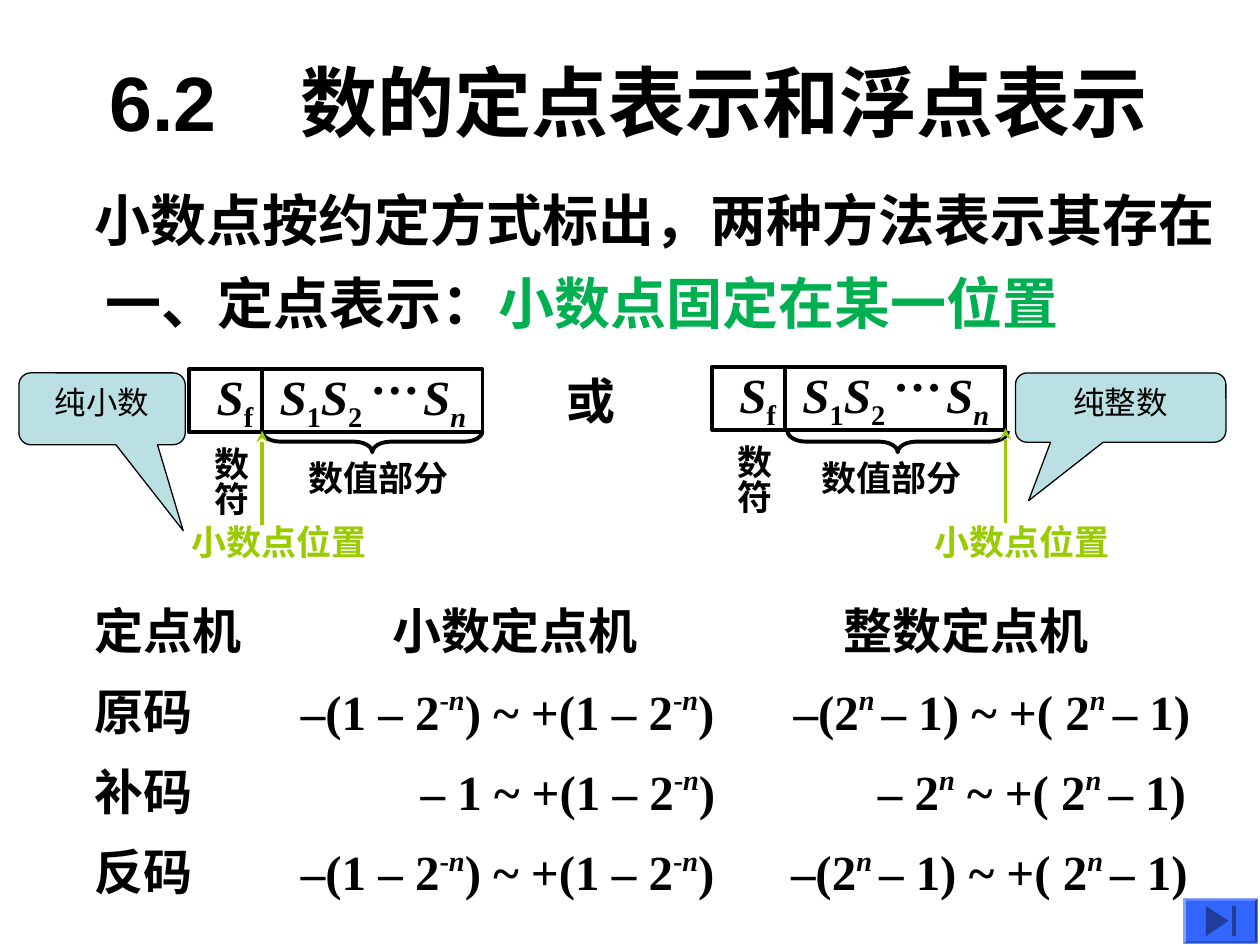
import pptx
import pptx.util
import pptx.dml.color
import pptx.enum.shapes
import pptx.enum.text
import pptx.oxml.ns
import lxml.etree

SHAPES = pptx.enum.shapes.MSO_SHAPE
ALIGN = pptx.enum.text.PP_ALIGN
ANCHOR = pptx.enum.text.MSO_ANCHOR
BLACK, GREEN, LIME, BLUE, NAVY, PALE = "000000", "00B050", "99CC00", "3366FF", "1F3D99", "BBE0E3"
SERIF = {"name": "Times New Roman", "bold": True}

presentation = pptx.Presentation()
presentation.slide_width = pptx.util.Inches(10)
presentation.slide_height = pptx.util.Inches(7.5)
slide = presentation.slides.add_slide(presentation.slide_layouts[6])
column = presentation.slide_width / 100
row = presentation.slide_height / 75


def color(value):
    return pptx.dml.color.RGBColor.from_string(value)


def write(shape, runs, size, font=SERIF, align=ALIGN.LEFT, anchor=ANCHOR.TOP, tabs=(), insets=(1, 0.5, 0, 0.5)):
    frame = shape.text_frame
    left, top, right, bottom = insets
    frame_format = {"word_wrap": True, "auto_size": pptx.enum.text.MSO_AUTO_SIZE.NONE, "vertical_anchor": anchor,
                    "margin_left": int(left * column), "margin_right": int(right * column),
                    "margin_top": int(top * row), "margin_bottom": int(bottom * row)}
    for key, value in frame_format.items():
        setattr(frame, key, value)
    paragraph = frame.paragraphs[0]
    paragraph.alignment = align
    if tabs:
        stops = lxml.etree.SubElement(paragraph._p.get_or_add_pPr(), pptx.oxml.ns.qn("a:tabLst"))
        for position in tabs:
            lxml.etree.SubElement(stops, pptx.oxml.ns.qn("a:tab"), pos=str(int(position * column)), algn="l")
    for text, style in runs:
        run = paragraph.add_run()
        run.text = text
        for key, value in {**font, "size": pptx.util.Pt(size), "italic": "italic" in style}.items():
            setattr(run.font, key, value)
        run.font.color.rgb = color(style.get("color", BLACK))
        if "baseline" in style:
            run._r.get_or_add_rPr().set("baseline", str(style["baseline"] * 1000))


PLAIN, ITALIC = {}, {"italic": True}
RAISED, POWER = {"baseline": 40}, {"baseline": 40, "italic": True}
LOWERED, INDEX = {"baseline": -25}, {"baseline": -25, "italic": True}
register = [("S", ITALIC), ("f", LOWERED), ("\t", PLAIN), ("S", ITALIC), ("1", LOWERED), ("S", ITALIC),
            ("2", LOWERED), ("\t", PLAIN), ("S", ITALIC), ("n", INDEX)]
fraction_end = [("-", RAISED), ("n", POWER), (")", PLAIN)]
fraction_range = [("–(1 – 2", PLAIN), *fraction_end[:2], (") ~ +(1 – 2", PLAIN), *fraction_end]
fraction_complement = [("– 1 ~ +(1 – 2", PLAIN), *fraction_end]
integer_end = [("n ", POWER), ("– 1)", PLAIN)]
integer_range = [("–(2", PLAIN), ("n ", POWER), ("– 1) ~ +( 2", PLAIN), *integer_end]
integer_complement = [("– 2", PLAIN), ("n", POWER), (" ~ +( 2", PLAIN), *integer_end]

title = slide.shapes.add_textbox(int(7.7 * column), int(1.7 * row), int(85 * column), int(12.5 * row))
write(title, [("6.2\t数的定点表示和浮点表示", PLAIN)], 44, {"name": "Arial", "bold": True},
      anchor=ANCHOR.MIDDLE, tabs=[15.2])

texts = [
    (6.5, 14.2, 91.8, 6.4, 32, [("小数点按约定方式标出，两种方法表示其存在", PLAIN)]),
    (7.4, 20.8, 77.6, 6.4, 32, [("一、定点表示：", PLAIN), ("小数点固定在某一位置", {"color": GREEN})]),
    (44, 28.9, 5.9, 5.7, 28, [("或", PLAIN)]),
]
table_rows = [
    ("定点机", 30.2, [("小数定点机", PLAIN)], 66, [("整数定点机", PLAIN)]),
    ("原码", 22.9, fraction_range, 62, integer_range),
    ("补码", 32.4, fraction_complement, 68.7, integer_complement),
    ("反码", 22.9, fraction_range, 61.8, integer_range),
]
for index, (label, fraction_left, fraction, integer_left, integer) in enumerate(table_rows):
    top = 47.2 + 6.37 * index
    texts += [(6.5, top, 14.5, 5.7, 28, [(label, PLAIN)]),
              (fraction_left, top, 34.8, 5.7, 28, fraction),
              (integer_left, top, 34, 5.7, 28, integer)]

diagrams = [(15, 29.3, 23.5, 14.2, 20.8, 20.8), (56.5, 29.1, 64.2, 73.2, 79.8, 62.5)]
for left, top, value_left, point_left, point, brace_left in diagrams:
    texts += [(left + 13.4, top - 2.4, 5.9, 5.7, 28, [("…", PLAIN)]),
              (value_left, 35.7, 13.1, 4.4, 20, [("数值部分", PLAIN)]),
              (point_left, 40.8, 15.9, 4.4, 20, [("小数点位置", {"color": LIME})])]
    box = slide.shapes.add_shape(SHAPES.RECTANGLE, int(left * column), int(top * row), int(23.3 * column), int(5 * row))
    brace = slide.shapes.add_shape(SHAPES.LEFT_BRACE, int((brace_left + 7.9) * column), int(26.3 * row),
                                   int(1.7 * column), int(17.5 * row))
    brace.rotation = 270
    brace.adjustments[0] = 0.86
    for shape in (box, brace):
        shape.shadow.inherit = False
        shape.fill.background()
        shape.line.color.rgb = color(BLACK)
        shape.line.width = pptx.util.Pt(2.25)
    divider = left + 5.8
    for x, start, end, stroke in ((divider, top, top + 5, BLACK), (point, top + 12.4, top + 4.9, LIME)):
        connector = slide.shapes.add_connector(pptx.enum.shapes.MSO_CONNECTOR.STRAIGHT, int(x * column),
                                               int(start * row), int(x * column), int(end * row))
        connector.line.color.rgb = color(stroke)
        connector.line.width = pptx.util.Pt(2.25)
        if stroke == LIME:
            lxml.etree.SubElement(connector.line._get_or_add_ln(), pptx.oxml.ns.qn("a:tailEnd"), type="stealth")
        lxml.etree.SubElement(connector._element.spPr, pptx.oxml.ns.qn("a:effectLst"))
    symbols = slide.shapes.add_textbox(int((left + 1.2) * column), int((top - 0.7) * row),
                                       int(22.5 * column), int(6.3 * row))
    write(symbols, register, 28, tabs=[5, 16.4])
    sign = slide.shapes.add_textbox(int((left + 0.2) * column), int((top + 5.2) * row),
                                    int(5.3 * column), int(6.6 * row))
    write(sign, [("数符", PLAIN)], 20, insets=(0.5, 0.5, 0.5, 0))
    sign.text_frame._txBody.bodyPr.set("vert", "eaVert")

for left, top, width, height, size, runs in texts:
    shape = slide.shapes.add_textbox(int(left * column), int(top * row), int(width * column), int(height * row))
    write(shape, runs, size)

callouts = [("纯整数", 80.6, 16.7, 5.5, (-0.438, 1.344, 0.167)), ("纯小数", 1.5, 13.2, 5.7, (0.488, 1.697, 0.167))]
for text, left, width, height, adjustments in callouts:
    callout = slide.shapes.add_shape(SHAPES.ROUNDED_RECTANGULAR_CALLOUT, int(left * column), int(29.6 * row),
                                     int(width * column), int(height * row))
    for index, value in enumerate(adjustments):
        callout.adjustments[index] = value
    callout.shadow.inherit = False
    callout.fill.solid()
    callout.fill.fore_color.rgb = color(PALE)
    callout.line.color.rgb = color(BLACK)
    callout.line.width = pptx.util.Pt(0.75)
    write(callout, [(text, PLAIN)], 18, {"name": "Arial", "bold": False}, ALIGN.CENTER, insets=(1, 0.5, 1, 0.5))

button = slide.shapes.add_shape(SHAPES.BEVEL, int(93.9 * column), int(71.3 * row), int(5.9 * column), int(3.6 * row))
button.adjustments[0] = 0.06
bar = slide.shapes.add_shape(SHAPES.RECTANGLE, int(97.8 * column), int(71.9 * row), int(0.3 * column), int(2.4 * row))
builder = slide.shapes.build_freeform(int(97.5 * column), int(73.1 * row))
builder.add_line_segments([(int(95.7 * column), int(y * row)) for y in (74.3, 71.9)], close=True)
triangle = builder.convert_to_shape()
for shape, fill in ((button, BLUE), (bar, NAVY), (triangle, NAVY)):
    shape.shadow.inherit = False
    shape.fill.solid()
    shape.fill.fore_color.rgb = color(fill)
    shape.line.fill.background()

presentation.save("out.pptx")
